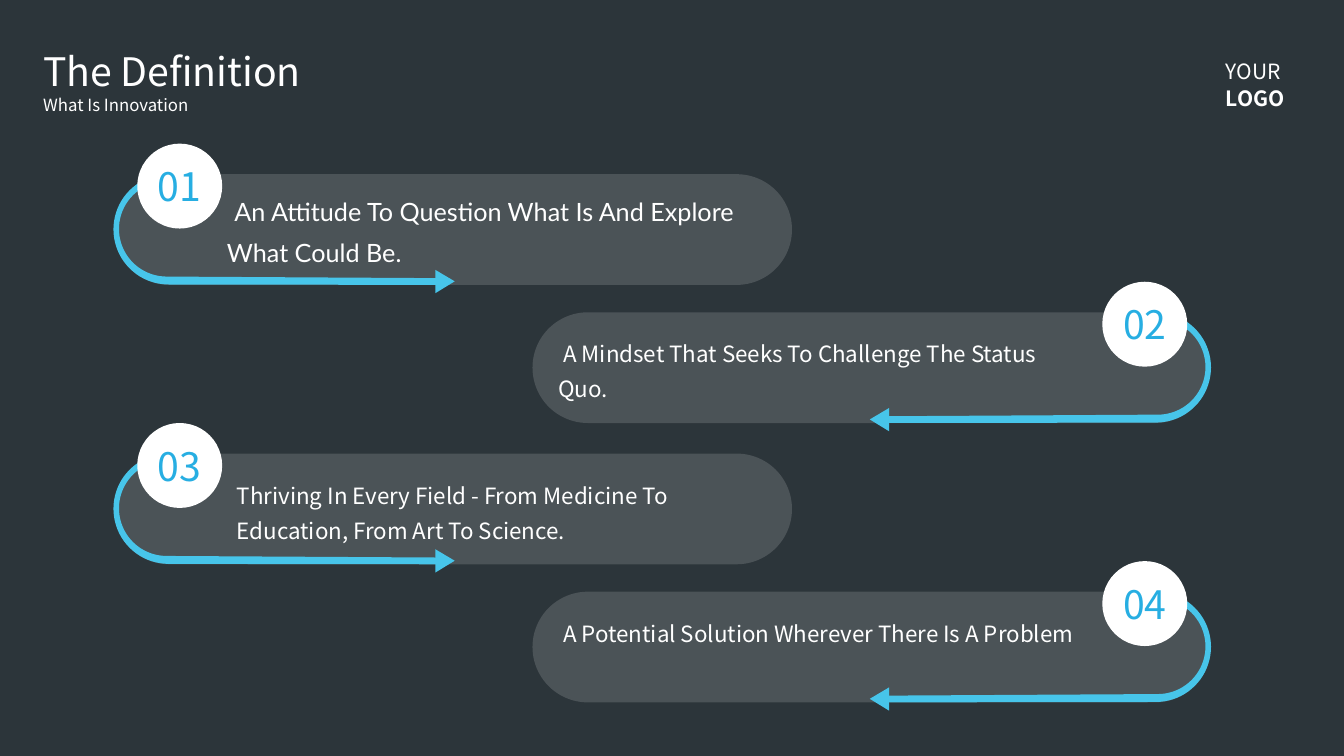
from dataclasses import dataclass
from math import cos, pi, sin

from lxml.etree import SubElement
from pptx import Presentation
from pptx.dml.color import RGBColor
from pptx.enum.shapes import MSO_SHAPE
from pptx.enum.text import MSO_ANCHOR, MSO_AUTO_SIZE, PP_ALIGN
from pptx.oxml.ns import qn
from pptx.util import Cm, Pt

SANS = "Noto Sans CJK JP"
BACKGROUND, WHITE, SKY, BLUE = "2C353A", "FFFFFF", "47C5EA", "27AEE2"
MIRROR_SUM = 33.38
PILL_LEFT, PILL_WIDTH, PILL_HEIGHT = 2.87, 17.09, 2.79
BADGE_LEFT, BADGE_RISE, BADGE_SIZE = 3.46, 0.77, 2.14
CAPTION_WIDTH = 13.34


@dataclass(frozen=True)
class Span:
    text: str
    size: float = 16
    font: str = SANS
    color: str = WHITE
    bold: bool = False


@dataclass(frozen=True)
class Item:
    number: str
    top: float
    mirrored: bool
    caption_left: float
    caption_top: float
    caption: tuple[Span, ...]


ITEMS = (
    Item("01", 4.39, False, 5.72, 4.42, (
        Span(" ", 24),
        Span("An Attitude To Question What Is And Explore What Could Be.", 18, "Lato"),
    )),
    Item("02", 7.87, True, 14.07, 8.38, (
        Span(" A Mindset That Seeks To Challenge The Status Quo."),
    )),
    Item("03", 11.43, False, 5.97, 11.94, (
        Span("Thriving In Every Field - From Medicine To Education, From Art To Science."),
    )),
    Item("04", 14.91, True, 14.07, 15.42, (
        Span(" A Potential Solution Wherever There Is A Problem"),
    )),
)


def paint(fill, color: str) -> None:
    fill.solid()
    fill.fore_color.rgb = RGBColor.from_string(color)


def style_shape(shape, color: str, opacity: int = 100) -> None:
    shape.shadow.inherit = False
    shape.line.fill.background()
    paint(shape.fill, color)
    if opacity < 100:
        tint = shape.fill._xPr.find(qn("a:solidFill"))[0]
        SubElement(tint, qn("a:alpha"), val=str(opacity * 1000))


def prepare_frame(shape, wrap: bool = True, anchor=MSO_ANCHOR.TOP):
    frame = shape.text_frame
    frame.margin_left = frame.margin_right = frame.margin_top = frame.margin_bottom = 0
    frame.auto_size = MSO_AUTO_SIZE.NONE
    frame.word_wrap = wrap
    frame.vertical_anchor = anchor
    return frame


def write(para, spans: tuple[Span, ...], align=PP_ALIGN.LEFT, spacing=None) -> None:
    para.alignment = align
    para.line_spacing = spacing
    for part in spans:
        span = para.add_run()
        span.text = part.text
        span.font.size = Pt(part.size)
        span.font.name = part.font
        span.font.bold = part.bold
        span.font.color.rgb = RGBColor.from_string(part.color)


def add_text(page, left: float, top: float, width: float, height: float,
             lines: tuple[tuple[Span, ...], ...], spacing=None) -> None:
    box = page.shapes.add_textbox(Cm(left), Cm(top), Cm(width), Cm(height))
    frame = prepare_frame(box)
    for index, spans in enumerate(lines):
        para = frame.add_paragraph() if index else frame.paragraphs[0]
        write(para, spans, spacing=spacing)


def left_arc(x: float, y: float, radius: float, steps: int = 40) -> list[tuple[float, float]]:
    angles = [pi * step / steps for step in range(steps + 1)]
    return [(x - radius * sin(angle), y + radius * cos(angle)) for angle in angles]


def add_outline(page, item: Item, points: list[tuple[float, float]]) -> None:
    placed = [
        (Cm(MIRROR_SUM - x if item.mirrored else x), Cm(item.top + y)) for x, y in points
    ]
    builder = page.shapes.build_freeform(*placed[0])
    builder.add_line_segments(placed[1:], close=True)
    style_shape(builder.convert_to_shape(), SKY)


def add_item(page, item: Item) -> None:
    def place(left: float, width: float) -> float:
        return MIRROR_SUM - left - width if item.mirrored else left

    pill = page.shapes.add_shape(
        MSO_SHAPE.ROUNDED_RECTANGLE, Cm(place(PILL_LEFT, PILL_WIDTH)), Cm(item.top),
        Cm(PILL_WIDTH), Cm(PILL_HEIGHT))
    pill.adjustments[0] = 0.5
    style_shape(pill, WHITE, 15)

    outer = left_arc(4.25, 1.39, 1.39)
    inner = left_arc(4.2, 1.38, 1.2)
    add_outline(page, item, [(11.1, 2.79), *outer, *reversed(inner), (11.1, 2.62)])
    add_outline(page, item, [(11.46, 2.7), (10.97, 2.41), (10.97, 3.0)])

    badge = page.shapes.add_shape(
        MSO_SHAPE.OVAL, Cm(place(BADGE_LEFT, BADGE_SIZE)), Cm(item.top - BADGE_RISE),
        Cm(BADGE_SIZE), Cm(BADGE_SIZE))
    style_shape(badge, WHITE)
    frame = prepare_frame(badge, wrap=False, anchor=MSO_ANCHOR.MIDDLE)
    write(frame.paragraphs[0], (Span(item.number, 28, color=BLUE),), PP_ALIGN.CENTER)

    add_text(page, item.caption_left, item.caption_top, CAPTION_WIDTH, 1.7,
             (item.caption,), spacing=1.3)


def add_heading(page) -> None:
    title = page.shapes.title
    title.left, title.top, title.width, title.height = Cm(1.09), Cm(1.19), Cm(6.81), Cm(1.19)
    write(prepare_frame(title).paragraphs[0], (Span("The Definition", 28),))
    add_text(page, 1.09, 2.39, 8.03, 0.51, ((Span("What Is Innovation", 12),),))
    add_text(page, 30.89, 1.42, 2, 1.37,
             ((Span("YOUR", 15),), (Span("LOGO", 15, bold=True),)), spacing=Pt(19.4))


def main() -> None:
    deck = Presentation()
    deck.slide_width, deck.slide_height = Cm(33.87), Cm(19.05)
    page = deck.slides.add_slide(deck.slide_layouts[5])
    paint(page.background.fill, BACKGROUND)
    add_heading(page)
    for item in ITEMS:
        add_item(page, item)
    deck.save("out.pptx")


if __name__ == "__main__":
    main()
